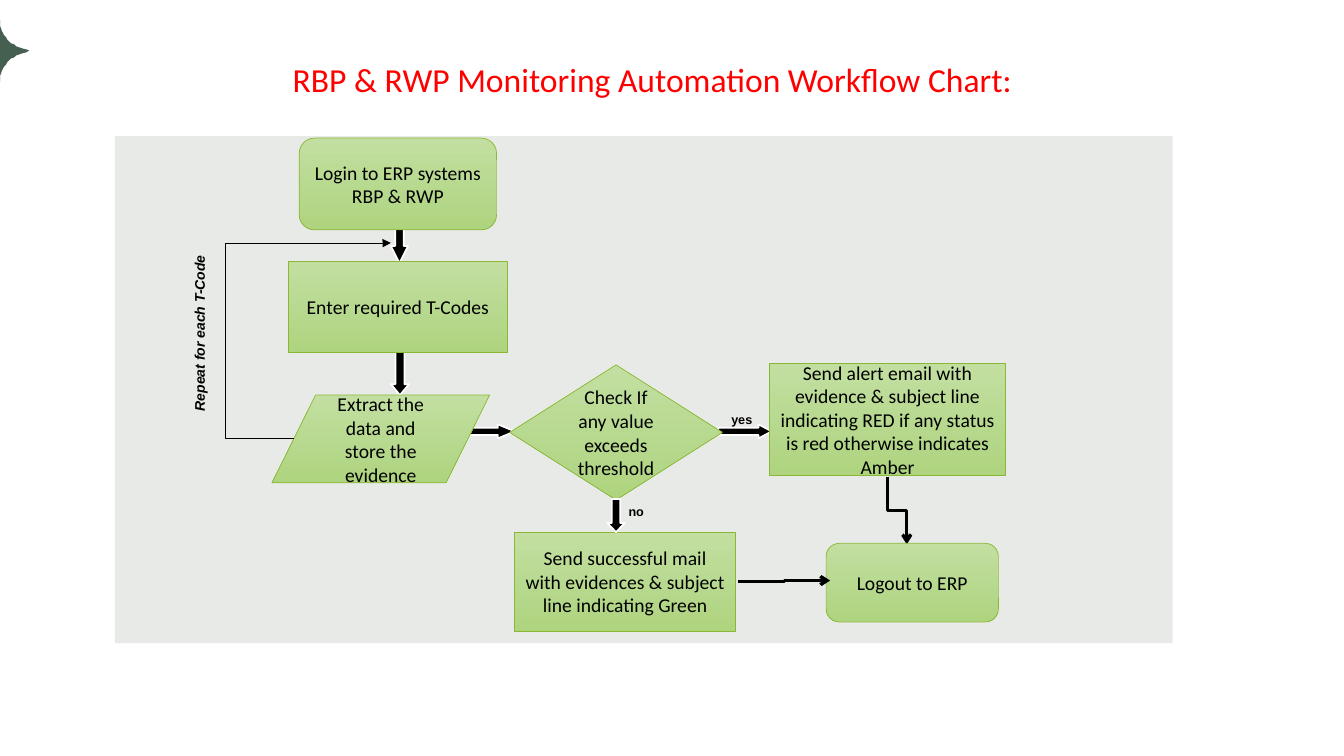
from dataclasses import dataclass

from lxml.etree import SubElement
from pptx import Presentation
from pptx.dml.color import RGBColor
from pptx.enum.shapes import MSO_CONNECTOR, MSO_SHAPE
from pptx.enum.text import MSO_ANCHOR, PP_ALIGN
from pptx.oxml.ns import qn
from pptx.shapes.autoshape import Shape
from pptx.slide import Slide
from pptx.text.text import TextFrame
from pptx.util import Emu, Pt

EMU_PER_PX = 9144  # 100 px to the inch
BLACK, WHITE, RED = "000000", "FFFFFF", "FF0000"
PANEL_GREY, STAR_GREEN = "E8EAE7", "455F51"
STEP_TOP, STEP_BOTTOM, STEP_EDGE = "C2DFA1", "AED47F", "8AB833"


@dataclass(frozen=True)
class Box:
    left: int
    top: int
    width: int
    height: int

    def emu(self) -> tuple[Emu, ...]:
        return tuple(px(v) for v in (self.left, self.top, self.width, self.height))


@dataclass(frozen=True)
class Step:
    kind: MSO_SHAPE
    box: Box
    text: str


@dataclass(frozen=True)
class BlockArrow:
    kind: MSO_SHAPE
    box: Box
    head: float  # head length relative to the arrow's thickness


@dataclass(frozen=True)
class Elbow:
    """Ends are given before the turn by `rotation` degrees."""
    start: tuple[int, int]
    end: tuple[int, int]
    weight: float
    head: str
    rotation: int = 0
    preset: str = "bentConnector3"
    bends: tuple[int, ...] = (50000,)


@dataclass(frozen=True)
class Label:
    box: Box
    text: str
    size: int
    font: str = "Arial"
    color: str = BLACK
    bold: bool = True
    italic: bool = False
    align: PP_ALIGN = PP_ALIGN.LEFT
    anchor: MSO_ANCHOR = MSO_ANCHOR.TOP
    rotation: int = 0
    spacing: float = 1.0


TITLE = Label(Box(201, 43, 893, 76), "RBP & RWP Monitoring Automation Workflow Chart:", 24,
              "Calibri", RED, bold=False, align=PP_ALIGN.CENTER,
              anchor=MSO_ANCHOR.MIDDLE, spacing=0.9)
PANEL = Box(114, 135, 1050, 503)

STEPS = [
    Step(MSO_SHAPE.FLOWCHART_DATA, Box(270, 392, 216, 87),
         "Extract the data and store the evidence"),
    Step(MSO_SHAPE.FLOWCHART_PROCESS, Box(286, 259, 218, 91), "Enter required T-Codes"),
    Step(MSO_SHAPE.FLOWCHART_ALTERNATE_PROCESS, Box(297, 137, 196, 91),
         "Login to ERP systems RBP & RWP"),
    Step(MSO_SHAPE.FLOWCHART_DECISION, Box(506, 362, 211, 134),
         "Check If any value exceeds threshold"),
    Step(MSO_SHAPE.FLOWCHART_PROCESS, Box(764, 360, 234, 112),
         "Send alert email with evidence & subject line indicating RED "
         "if any status is red otherwise indicates Amber"),
    Step(MSO_SHAPE.FLOWCHART_PROCESS, Box(511, 528, 219, 98),
         "Send successful mail with evidences & subject line indicating Green"),
    Step(MSO_SHAPE.FLOWCHART_ALTERNATE_PROCESS, Box(820, 539, 171, 78), "Logout to ERP"),
]

ARROWS_BEHIND_STEPS = [
    BlockArrow(MSO_SHAPE.DOWN_ARROW, Box(388, 192, 17, 69), 1.0),
    BlockArrow(MSO_SHAPE.DOWN_ARROW, Box(388, 349, 18, 43), 0.6),
    BlockArrow(MSO_SHAPE.RIGHT_ARROW, Box(444, 421, 67, 14), 1.2),
    BlockArrow(MSO_SHAPE.RIGHT_ARROW, Box(713, 421, 53, 14), 0.93),
]
NO_ARROW = BlockArrow(MSO_SHAPE.DOWN_ARROW, Box(603, 495, 17, 33), 0.53)

ALERT_TO_LOGOUT = Elbow((924, 497), (857, 516), 2.25, "arrow", rotation=270)
SUCCESS_TO_LOGOUT = Elbow((733, 577), (824, 576), 2.25, "arrow")
REPEAT_LOOP = Elbow((388, 241), (292, 435), 0.5, "triangle", rotation=180,
                    preset="bentConnector4", bends=(-71500, 99900))

LABELS = [
    Label(Box(716, 404, 48, 25), "yes", 9),
    Label(Box(614, 495, 61, 25), "no", 9),
    Label(Box(71, 357, 254, 27), "Repeat for each T-Code", 10, italic=True,
          align=PP_ALIGN.RIGHT, rotation=270),
]


def px(value: float) -> Emu:
    return Emu(round(value * EMU_PER_PX))


def rgb(color: str) -> RGBColor:
    return RGBColor.from_string(color)


def paint(shape: Shape, fill: str) -> None:
    shape.shadow.inherit = False
    shape.fill.solid()
    shape.fill.fore_color.rgb = rgb(fill)
    shape.line.fill.background()


def outline(shape: Shape, color: str, weight: float) -> None:
    shape.line.color.rgb = rgb(color)
    shape.line.width = Pt(weight)


def write(frame: TextFrame, label: Label) -> None:
    frame.word_wrap = True
    frame.vertical_anchor = label.anchor
    paragraph = frame.paragraphs[0]
    paragraph.alignment = label.align
    paragraph.line_spacing = label.spacing
    run = paragraph.add_run()
    run.text = label.text
    run.font.name = label.font
    run.font.size = Pt(label.size)
    run.font.bold = label.bold
    run.font.italic = label.italic
    run.font.color.rgb = rgb(label.color)


def draw_label(slide: Slide, label: Label) -> None:
    textbox = slide.shapes.add_textbox(*label.box.emu())
    textbox.rotation = label.rotation
    write(textbox.text_frame, label)


def draw_step(slide: Slide, step: Step) -> None:
    shape = slide.shapes.add_shape(step.kind, *step.box.emu())
    shape.shadow.inherit = False
    shape.fill.gradient()
    shape.fill.gradient_angle = 270
    for stop, color in zip(shape.fill.gradient_stops, (STEP_TOP, STEP_BOTTOM)):
        stop.color.rgb = rgb(color)
    outline(shape, STEP_EDGE, 0.5)
    write(shape.text_frame, Label(step.box, step.text, 14, "Calibri", bold=False,
                                  align=PP_ALIGN.CENTER, anchor=MSO_ANCHOR.MIDDLE))


def draw_block_arrow(slide: Slide, arrow: BlockArrow) -> None:
    shape = slide.shapes.add_shape(arrow.kind, *arrow.box.emu())
    shape.adjustments[0] = 0.5
    shape.adjustments[1] = arrow.head
    paint(shape, BLACK)
    outline(shape, WHITE, 1.25)


def draw_elbow(slide: Slide, elbow: Elbow) -> None:
    ends = (px(v) for v in (*elbow.start, *elbow.end))
    connector = slide.shapes.add_connector(MSO_CONNECTOR.ELBOW, *ends)
    connector.line.color.rgb = rgb(BLACK)
    connector.line.width = Pt(elbow.weight)
    properties = connector._element.spPr
    properties.find(qn("a:xfrm")).set("rot", str(elbow.rotation * 60000))
    geometry = properties.find(qn("a:prstGeom"))
    geometry.set("prst", elbow.preset)
    guides = geometry.find(qn("a:avLst"))
    for number, bend in enumerate(elbow.bends, 1):
        SubElement(guides, qn("a:gd"), name=f"adj{number}", fmla=f"val {bend}")
    SubElement(properties.find(qn("a:ln")), qn("a:tailEnd"), type=elbow.head)
    SubElement(properties, qn("a:effectLst"))


def draw_corner_star(slide: Slide) -> None:
    """Half a four-pointed star, its curved edge sampled from a cubic Bezier."""
    controls, middle, steps = ((0, 20), (0, 36), (10, 45), (29, 50.5)), 50.5, 16
    upper = []
    for i in range(steps + 1):
        t = i / steps
        weights = ((1 - t) ** 3, 3 * t * (1 - t) ** 2, 3 * t * t * (1 - t), t ** 3)
        upper.append(tuple(sum(w * c[axis] for w, c in zip(weights, controls))
                           for axis in (0, 1)))
    lower = [(x, 2 * middle - y) for x, y in reversed(upper[:-1])]
    builder = slide.shapes.build_freeform(*upper[0], scale=EMU_PER_PX)
    builder.add_line_segments(upper[1:] + lower, close=True)
    paint(builder.convert_to_shape(), STAR_GREEN)


def main() -> None:
    deck = Presentation()
    deck.slide_width, deck.slide_height = px(1334), px(750)
    slide = deck.slides.add_slide(deck.slide_layouts[6])
    draw_corner_star(slide)
    draw_label(slide, TITLE)
    paint(slide.shapes.add_shape(MSO_SHAPE.RECTANGLE, *PANEL.emu()), PANEL_GREY)
    for arrow in ARROWS_BEHIND_STEPS:
        draw_block_arrow(slide, arrow)
    draw_elbow(slide, ALERT_TO_LOGOUT)
    for step in STEPS:
        draw_step(slide, step)
    draw_block_arrow(slide, NO_ARROW)
    for elbow in (SUCCESS_TO_LOGOUT, REPEAT_LOOP):
        draw_elbow(slide, elbow)
    for label in LABELS:
        draw_label(slide, label)
    deck.save("out.pptx")


if __name__ == "__main__":
    main()
